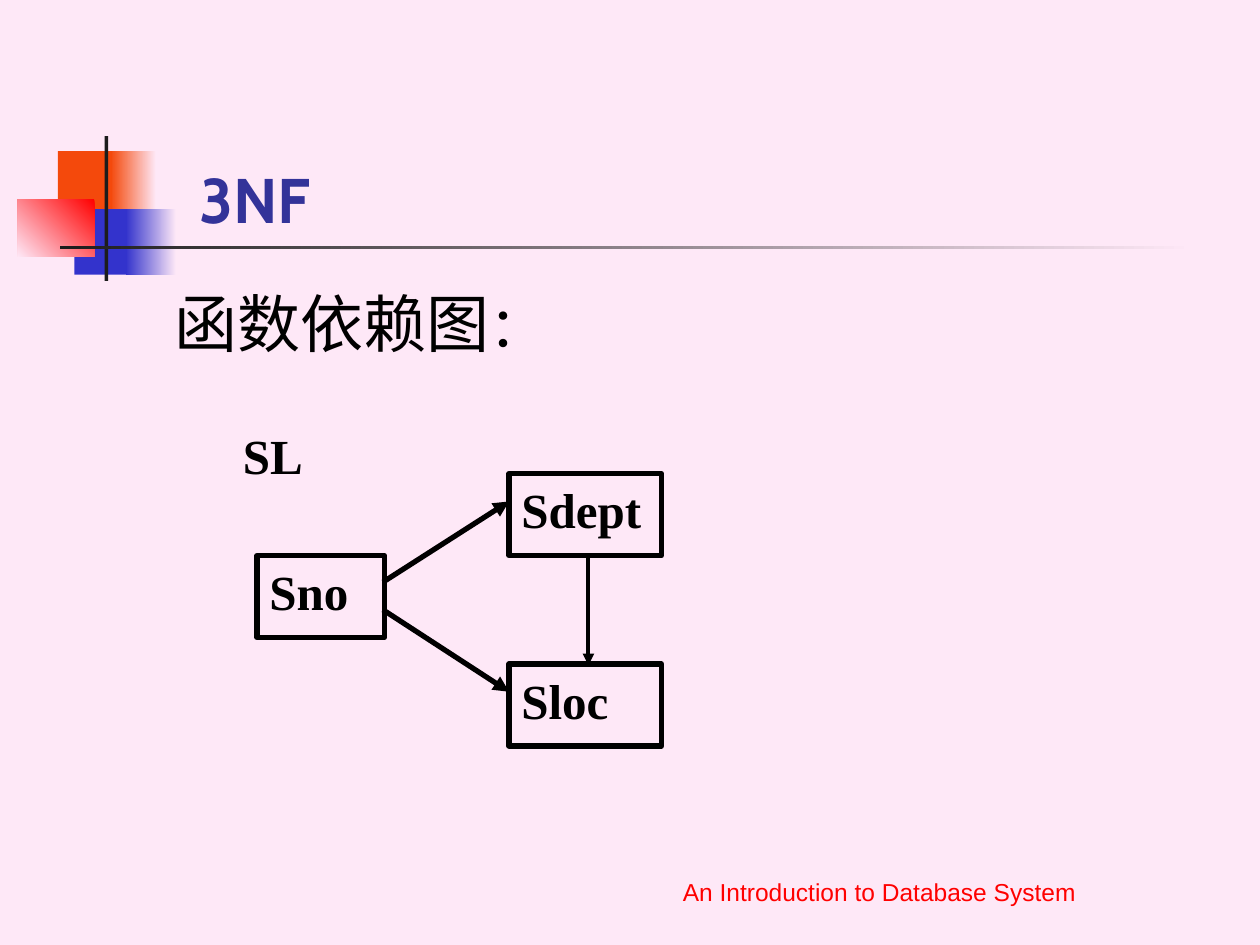
from lxml import etree
from pptx import Presentation
from pptx.dml.color import RGBColor
from pptx.enum.shapes import MSO_CONNECTOR, MSO_SHAPE
from pptx.enum.text import MSO_ANCHOR as Anchor, PP_ALIGN as Align
from pptx.oxml.ns import qn
from pptx.util import Inches, Pt

COLORS = {
    "page": "FEE8F7", "orange": "F4490C", "blue": "3333CC", "red": "FF0000",
    "dark": "1C1C1C", "title": "333399", "black": "000000",
}

# Decoration: left, top, width, height, colours from start to end, angle
DECOR = [
    (0.46, 1.2, 0.48, 0.52, ["orange"], 0),
    (0.88, 1.2, 0.36, 0.52, ["page", "orange"], 180),
    (0.59, 1.66, 0.46, 0.52, ["blue"], 0),
    (1, 1.66, 0.4, 0.52, ["page", "blue"], 180),
    (0.14, 1.58, 0.61, 0.46, ["red", "page"], 225),
    (0.83, 1.08, 0.03, 1.15, ["dark"], 0),
    (0.48, 1.95, 9, 0.03, ["page", "dark"], 180),
]

# Text: place, spans as (text, size), font, colour, bold, alignment, anchor, left inset
TEXTS = [
    ((1.26, 0.67, 8.52, 1.25), [("3NF", 36)], "Cabin", "title", True,
     Align.LEFT, Anchor.BOTTOM, 0.32),
    ((1.29, 2.21, 8.5, 4.5), [("函数依赖图", 36), ("：", 32)], "Cabin", "black", False,
     Align.LEFT, Anchor.TOP, 0.1),
    ((1.83, 3.33, 1.21, 0.65), [("SL", 28)], "Times New Roman", "black", True,
     Align.JUSTIFY, Anchor.TOP, 0.1),
    ((4.37, 6.74, 5.22, 0.5), [("An Introduction to Database System", 14)], "Arial", "red",
     False, Align.CENTER, Anchor.BOTTOM, 0.1),
]

# Diagram: attribute boxes and the dependencies between them
NODE_HEIGHT = 0.65
NODES = [("Sno", 2.04, 4.41, 1.01), ("Sdept", 4.04, 3.76, 1.21), ("Sloc", 4.04, 5.27, 1.21)]
ARROWS = [
    ((3.04, 4.62), (4.04, 3.98), 3),
    ((3.04, 4.84), (4.04, 5.49), 3),
    ((4.67, 4.42), (4.67, 5.28), 2.25),
]


def color(name):
    return RGBColor.from_string(COLORS[name])


def add_rect(page, place):
    rect = page.shapes.add_shape(MSO_SHAPE.RECTANGLE, *map(Inches, place))
    rect.shadow.inherit = False
    return rect


def write(shape, spans, font, ink, bold, align, anchor, inset):
    frame = shape.text_frame
    frame.word_wrap = True
    frame.vertical_anchor = anchor
    frame.margin_left = Inches(inset)
    para = frame.paragraphs[0]
    para.alignment = align
    for text, size in spans:
        span = para.add_run()
        span.text = text
        span.font.name = font
        span.font.size = Pt(size)
        span.font.bold = bold
        span.font.color.rgb = color(ink)


def add_decor(page, place, inks, angle):
    rect = add_rect(page, place)
    rect.line.fill.background()
    if len(inks) == 1:
        rect.fill.solid()
        rect.fill.fore_color.rgb = color(inks[0])
        return
    rect.fill.gradient()
    rect.fill.gradient_angle = angle
    for stop, ink in zip(rect.fill.gradient_stops, inks):
        stop.color.rgb = color(ink)


def add_node(page, name, left, top, width):
    rect = add_rect(page, (left, top, width, NODE_HEIGHT))
    rect.fill.background()
    rect.line.color.rgb = color("black")
    rect.line.width = Pt(3)
    write(rect, [(name, 28)], "Times New Roman", "black", True, Align.JUSTIFY, Anchor.TOP, 0.1)


def add_arrow(page, start, end, weight):
    arrow = page.shapes.add_connector(MSO_CONNECTOR.STRAIGHT, *map(Inches, start + end))
    arrow.line.color.rgb = color("black")
    arrow.line.width = Pt(weight)
    etree.SubElement(arrow.line._get_or_add_ln(), qn("a:tailEnd"), type="triangle")
    etree.SubElement(arrow._element.spPr, qn("a:effectLst"))


def main():
    deck = Presentation()
    deck.slide_width, deck.slide_height = Inches(10), Inches(7.5)
    page = deck.slides.add_slide(deck.slide_layouts[6])
    page.background.fill.solid()
    page.background.fill.fore_color.rgb = color("page")

    for *place, inks, angle in DECOR:
        add_decor(page, place, inks, angle)
    for place, *content in TEXTS:
        write(page.shapes.add_textbox(*map(Inches, place)), *content)
    for node in NODES:
        add_node(page, *node)
    for arrow in ARROWS:
        add_arrow(page, *arrow)

    deck.save("out.pptx")


if __name__ == "__main__":
    main()
